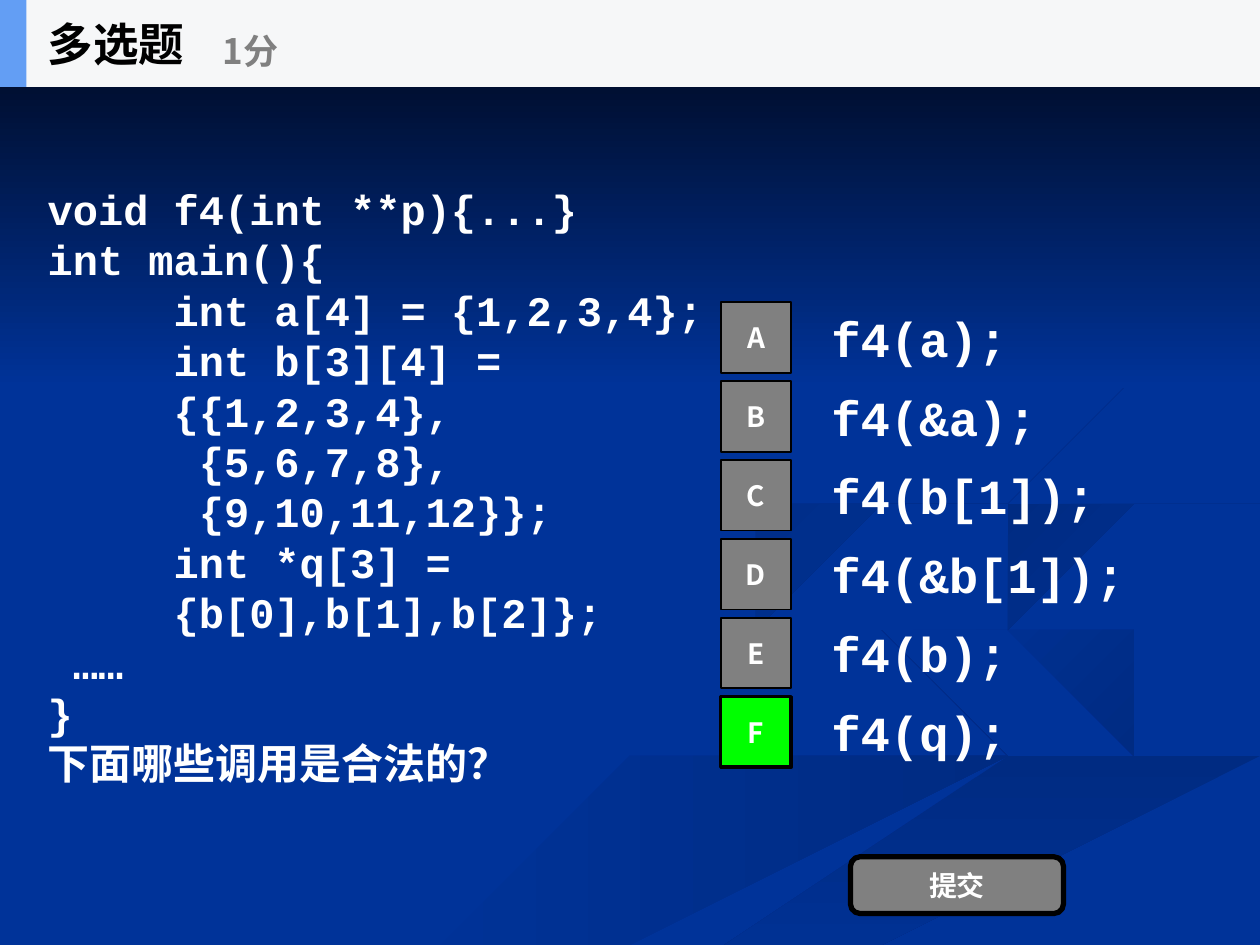
from dataclasses import dataclass
from lxml.etree import SubElement
from pptx import Presentation
from pptx.dml.color import RGBColor
from pptx.enum.shapes import MSO_SHAPE
from pptx.enum.text import MSO_ANCHOR, PP_ALIGN
from pptx.oxml.ns import qn
from pptx.util import Emu, Inches, Pt

CODE = [
    "void f4(int **p){...}",
    "int main(){",
    "\tint a[4] = {1,2,3,4};",
    "\tint b[3][4] =",
    "     {{1,2,3,4},",
    "\t {5,6,7,8},",
    "\t {9,10,11,12}};",
    "\tint *q[3] =",
    "     {b[0],b[1],b[2]};",
    " ……",
    "}",
    "下面哪些调用是合法的？",
]
OPTIONS = ["f4(a);", "f4(&a);", "f4(b[1]);", "f4(&b[1]);", "f4(b);", "f4(q);"]
LETTERS, CORRECT = "ABCDEF", "F"
TITLE, POINTS, SUBMIT = "多选题", "1分", "提交"


@dataclass(frozen=True)
class Theme:
    base: str = "003399"
    shade: str = "002B82"
    night: str = "000514"
    white: str = "FFFFFF"
    black: str = "000000"
    gray: str = "808080"
    right: str = "00FF00"
    band: str = "F6F7F8"
    accent: str = "639EF4"
    mono: str = "Courier New"
    sans: str = "Noto Sans CJK SC"
    title_size: int = 26
    points_size: int = 20
    code_size: int = 24
    option_size: int = 28
    label_size: int = 16
    code_leading: float = 28.8


THEME = Theme()
WIDTH, HEIGHT = 10, 7.5
BAND_HEIGHT = 0.69
TEXT_LEFT = 0.28
ROW_TOP, ROW_PITCH, ROW_HEIGHT = 2.33, 0.626, 0.7
LABEL_LEFT, LABEL_SIDE, OPTION_LEFT = 5.72, 0.56, 6.5
FADE_OUT, FADE_IN = (THEME.shade, THEME.base), (THEME.base, THEME.shade)

RIBBONS = [
    (FADE_IN, 0, [(7.8, 5.5), (6.8, 5.2), (5.7, 4.6), (6.8, 5.2), (7.8, 5.6), (7.6, 5.9),
                  (5.4, 6.5), (3, 7.5), (3.6, 7.5), (5.6, 6.6), (7.8, 6.1), (8, 5.8)]),
    (FADE_IN, 45, [(9.4, 5.7), (8.9, 5.4), (7.7, 5), (7.2, 4.6), (7.5, 5), (8.8, 5.5),
                   (9.2, 5.8), (8.9, 6.1), (9.4, 5.8)]),
    (FADE_OUT, 90, [(5, 7.5), (5.7, 7.5), (7.5, 6.7), (10, 6.1), (10, 5.8), (7.6, 6.5)]),
    (FADE_OUT, 45, [(7.8, 4.6), (8.3, 5), (8.1, 4.7), (8.6, 4.4), (10, 4.2), (10, 4),
                    (8.4, 4.3)]),
    (FADE_OUT, 45, [(6.8, 4.3), (8.4, 4), (8.9, 3.4), (8.6, 2.9), (7.6, 2.3), (8.5, 2.8),
                    (8.9, 3.4), (8.3, 3.8), (6, 4.3), (5.8, 4.7), (6.2, 5), (6, 4.6)]),
]


def color(value):
    return RGBColor.from_string(value)


def assign(target, values):
    for name, value in values.items():
        setattr(target, name, value)


def write(shape, lines, size, tint, font=THEME.sans, align=PP_ALIGN.LEFT, leading=None):
    frame = shape.text_frame
    assign(frame, {
        "text": "\n".join(lines), "word_wrap": True, "vertical_anchor": MSO_ANCHOR.MIDDLE,
        "margin_left": Inches(0.1), "margin_right": Inches(0.1),
        "margin_top": Inches(0.05), "margin_bottom": Inches(0.05),
    })
    for para in frame.paragraphs:
        assign(para, {"alignment": align, "line_spacing": leading, "space_before": Pt(0)})
        tabs = SubElement(para._p.get_or_add_pPr(), qn("a:tabLst"))
        SubElement(tabs, qn("a:tab"), pos=str(Inches(1)), algn="l")
        for span in para.runs:
            assign(span.font, {"name": font, "size": Pt(size), "bold": True})
            span.font.color.rgb = color(tint)
            SubElement(span.font._element, qn("a:ea"), typeface=THEME.sans)


def paint(shape, fill, line=None, weight=1):
    shape.shadow.inherit = False
    shape.fill.solid()
    shape.fill.fore_color.rgb = color(fill)
    if line:
        shape.line.color.rgb = color(line)
        shape.line.width = Pt(weight)
    else:
        shape.line.fill.background()


def blend(shape, tints, angle):
    paint(shape, tints[0])
    shape.fill.gradient()
    shape.fill.gradient_angle = -angle % 360
    for stop, tint in zip(shape.fill.gradient_stops, tints):
        stop.color.rgb = color(tint)


def add_block(page, kind, *area):
    return page.shapes.add_shape(kind, *map(Inches, area))


def add_text(page, area, *args, **options):
    box = page.shapes.add_textbox(*map(Inches, area))
    write(box, *args, **options)
    return box


def add_backdrop(page):
    page.background.fill.solid()
    page.background.fill.fore_color.rgb = color(THEME.base)
    for tints, angle, points in RIBBONS:
        builder = page.shapes.build_freeform(*points[0], scale=Inches(1))
        builder.add_line_segments(points[1:], close=True)
        blend(builder.convert_to_shape(), tints, angle)
    sky = add_block(page, MSO_SHAPE.RECTANGLE, 0, 0, WIDTH, 3.08)
    blend(sky, (THEME.night, THEME.base), 90)


def add_question(page):
    box = add_text(page, (TEXT_LEFT, 1.13, 8, 5.35), CODE, THEME.code_size, THEME.white,
                   THEME.mono, leading=Pt(THEME.code_leading))
    box.text_frame.margin_top = Inches(0.15)


def add_options(page):
    for row, (letter, call) in enumerate(zip(LETTERS, OPTIONS)):
        top = ROW_TOP + row * ROW_PITCH
        correct = letter == CORRECT
        add_text(page, (OPTION_LEFT, top, 2.85, ROW_HEIGHT), [call],
                 THEME.option_size, THEME.white, THEME.mono)
        label = add_block(page, MSO_SHAPE.RECTANGLE, LABEL_LEFT,
                          top + (ROW_HEIGHT - LABEL_SIDE) / 2, LABEL_SIDE, LABEL_SIDE)
        paint(label, THEME.right if correct else THEME.gray, THEME.black, 2 if correct else 1)
        write(label, [letter], THEME.label_size, THEME.white, align=PP_ALIGN.CENTER)
    button = add_block(page, MSO_SHAPE.ROUNDED_RECTANGLE, 6.75, 6.8, 1.69, 0.45)
    paint(button, THEME.gray, THEME.black, 3)
    write(button, [SUBMIT], THEME.label_size, THEME.white, align=PP_ALIGN.CENTER)


def add_header(page):
    for width, fill in ((WIDTH, THEME.band), (0.21, THEME.accent)):
        paint(add_block(page, MSO_SHAPE.RECTANGLE, 0, 0, width, BAND_HEIGHT), fill)
    title = page.shapes.title
    assign(title, {"left": Inches(TEXT_LEFT), "top": Emu(0),
                   "width": Inches(2.08), "height": Inches(BAND_HEIGHT)})
    write(title, [TITLE], THEME.title_size, THEME.black)
    title.element.getparent().append(title.element)
    add_text(page, (1.67, 0.12, 2.5, 0.56), [POINTS], THEME.points_size, THEME.gray)


def main():
    deck = Presentation()
    assign(deck, {"slide_width": Inches(WIDTH), "slide_height": Inches(HEIGHT)})
    page = deck.slides.add_slide(deck.slide_layouts[5])
    for add_part in (add_backdrop, add_question, add_options, add_header):
        add_part(page)
    deck.save("out.pptx")


if __name__ == "__main__":
    main()
